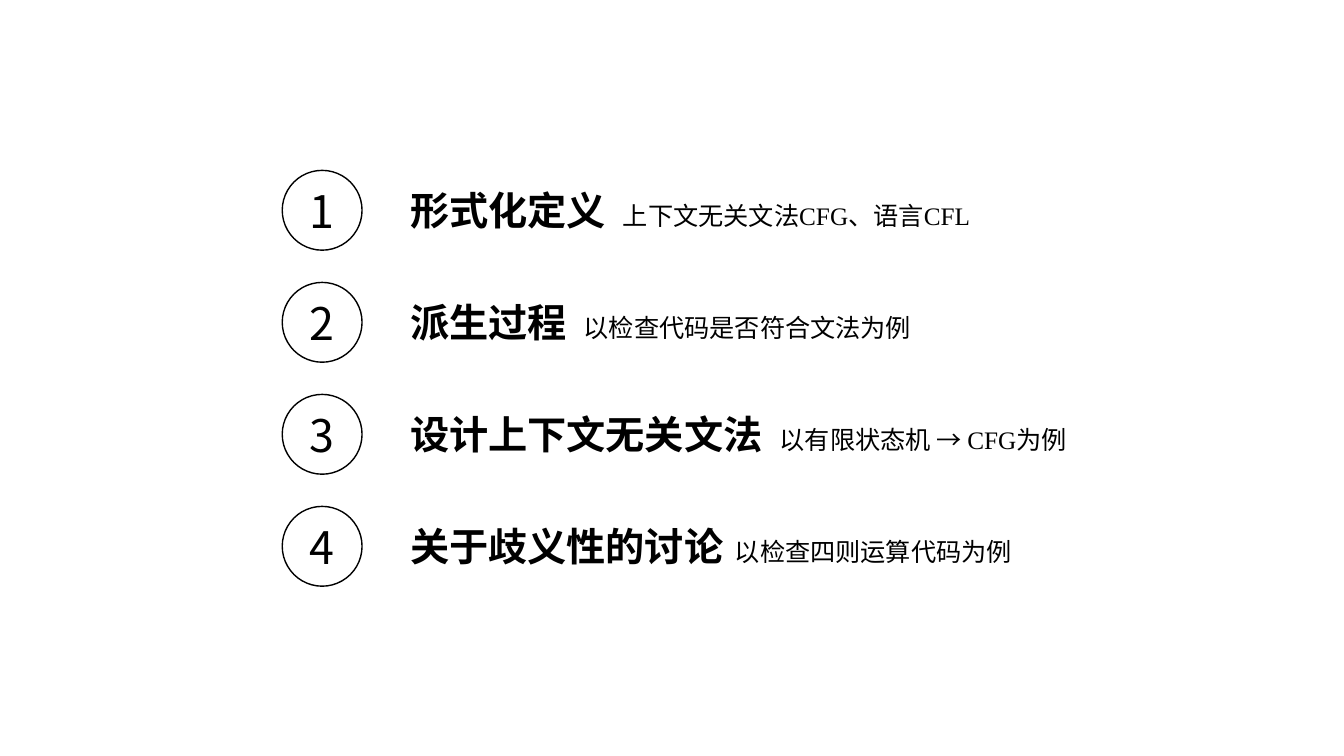
from pptx import Presentation
from pptx.dml.color import RGBColor
from pptx.enum.shapes import MSO_SHAPE
from pptx.enum.text import MSO_ANCHOR, PP_ALIGN
from pptx.oxml.ns import qn
from pptx.util import Pt
from lxml.etree import SubElement

# Content: heading, example, gap between them, text width
AGENDA = [
    ("形式化定义", "上下文无关文法CFG、语言CFL", 12, 417),
    ("派生过程", "以检查代码是否符合文法为例", 12, 500),
    ("设计上下文无关文法", "以有限状态机 → CFG为例", 12, 500),
    ("关于歧义性的讨论", "以检查四则运算代码为例", 8, 500),
]

THEME = {
    "ink": RGBColor(0, 0, 0),
    "paper": RGBColor(255, 255, 255),
    "cjk": "Noto Sans CJK SC",
    "latin": "Times New Roman",
    "number": 32,
    "heading": 28,
    "example": 18,
}

# Layout in points
TOP, PITCH = 121.7, 80
CIRCLE_LEFT, CIRCLE_SIZE = 201.6, 57
TEXT_LEFT, TEXT_DROP, TEXT_HEIGHT = 285.8, 7.9, 41


def add_number(slide, number, top):
    sp = slide.shapes.add_shape(MSO_SHAPE.OVAL, Pt(CIRCLE_LEFT), Pt(top),
                                Pt(CIRCLE_SIZE), Pt(CIRCLE_SIZE))
    sp.shadow.inherit = False
    sp.fill.solid()
    sp.fill.fore_color.rgb = THEME["paper"]
    sp.line.color.rgb = THEME["ink"]
    sp.line.width = Pt(1)
    tf = sp.text_frame
    tf.vertical_anchor = MSO_ANCHOR.MIDDLE
    p = tf.paragraphs[0]
    p.text = str(number)
    p.alignment = PP_ALIGN.CENTER
    p.font.size = Pt(THEME["number"])
    p.font.name = THEME["cjk"]
    p.font.color.rgb = THEME["ink"]


def add_run(p, text, size, bold):
    r = p.add_run()
    r.text = text
    r.font.size = Pt(size)
    r.font.bold = bold
    r.font.name = THEME["latin"]
    r.font.color.rgb = THEME["ink"]
    SubElement(r.font._element, qn("a:ea"), typeface=THEME["cjk"])


def add_entry(slide, heading, example, gap, width, top):
    sp = slide.shapes.add_textbox(Pt(TEXT_LEFT), Pt(top + TEXT_DROP),
                                  Pt(width), Pt(TEXT_HEIGHT))
    tf = sp.text_frame
    tf.word_wrap = True
    p = tf.paragraphs[0]
    # The example starts a set gap after the full-width heading
    stop = Pt(len(heading) * THEME["heading"] + gap)
    tabs = SubElement(p._p.get_or_add_pPr(), qn("a:tabLst"))
    SubElement(tabs, qn("a:tab"), pos=str(int(stop)), algn="l")
    add_run(p, heading, THEME["heading"], True)
    add_run(p, "\t" + example, THEME["example"], False)


prs = Presentation()
prs.slide_width, prs.slide_height = Pt(960), Pt(540)
s = prs.slides.add_slide(prs.slide_layouts[6])

# Numbered agenda rows
for i, (heading, example, gap, width) in enumerate(AGENDA):
    top = TOP + i * PITCH
    add_number(s, i + 1, top)
    add_entry(s, heading, example, gap, width, top)

prs.save("out.pptx")
